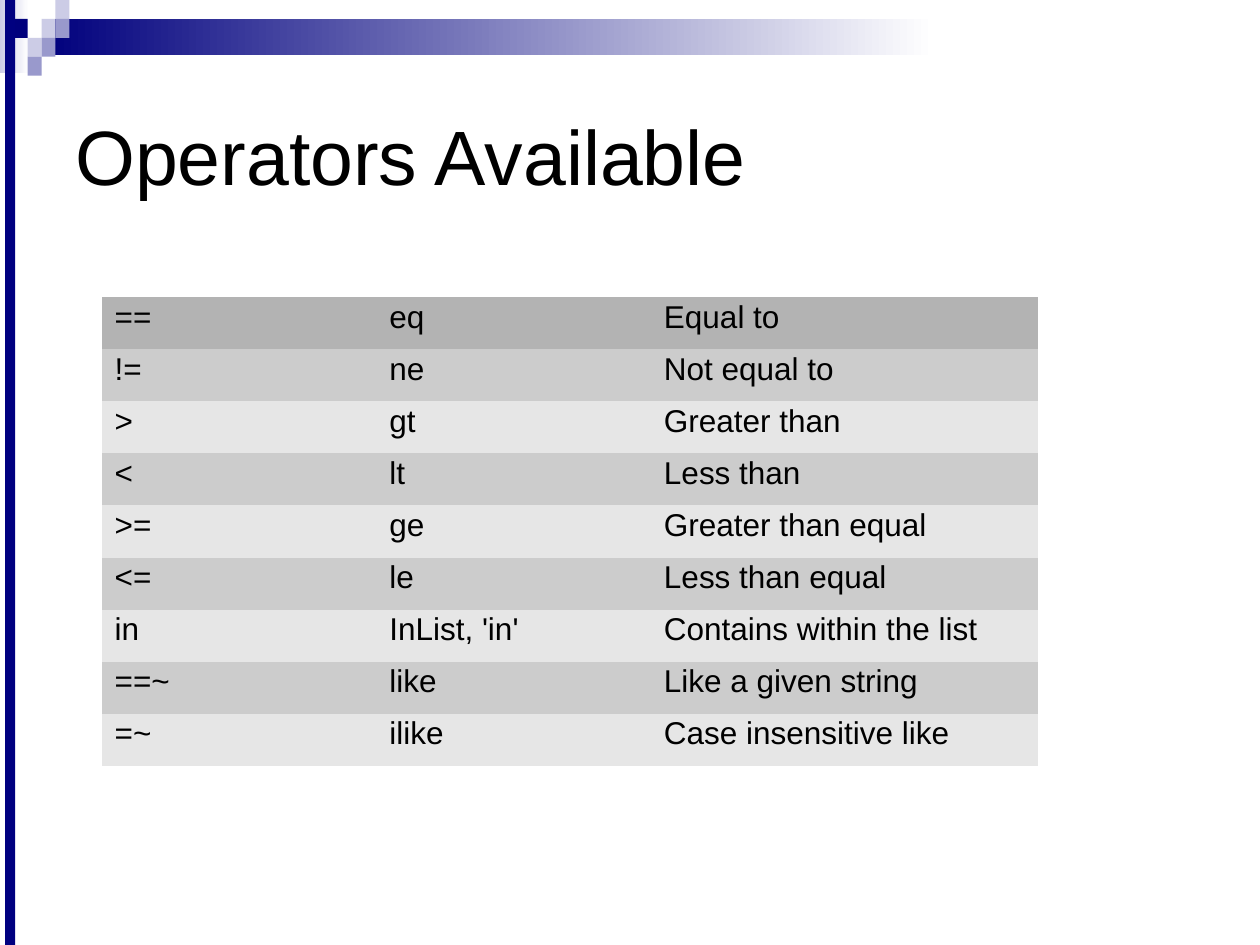
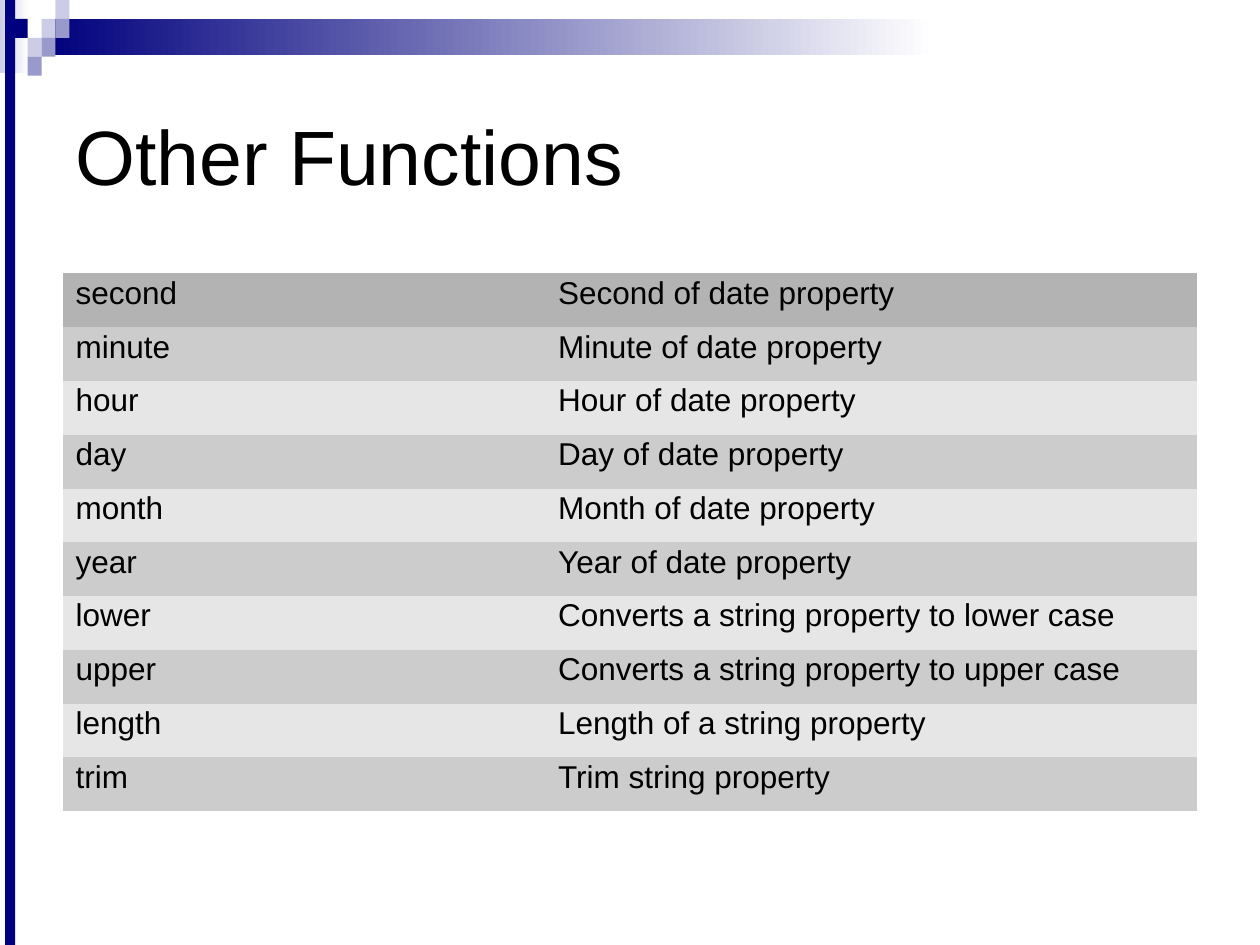
from pptx import Presentation
from pptx import util as u
from pptx.dml.color import RGBColor
from pptx.enum import shapes, text
from pptx.oxml.ns import qn

COLS, ROWS = 20, 15
TILE_W, TILE_H = 0.22, 0.3
FONT = "Arial"
PLAIN = "{2D5ABB26-0587-4C30-8999-92F81FD0307C}"
HUES = {
    "white": "FFFFFF",
    "ink": "000000",
    "navy": "00007D",
    "spine": "000080",
    "mist": "CCCCE6",
    "haze": "9999CC",
    "head": "B3B3B3",
    "dark": "CCCCCC",
    "light": "E6E6E6",
}
TILES = [
    (3, 1, "mist"),
    (4, 0, "mist"),
    (4, 1, "haze"),
    (2, 2, "mist"),
    (1, 1, "navy"),
    (3, 2, "haze"),
    (2, 3, "haze"),
]
OPS = [
    ("==", "eq", "Equal to"),
    ("!=", "ne", "Not equal to"),
    (">", "gt", "Greater than"),
    ("<", "lt", "Less than"),
    (">=", "ge", "Greater than equal"),
    ("<=", "le", "Less than equal"),
    ("in", "InList, 'in'", "Contains within the list"),
    ("==~", "like", "Like a given string"),
    ("=~", "ilike", "Case insensitive like"),
]
FUNCS = [
    ("second", "Second of date property"),
    ("minute", "Minute of date property"),
    ("hour", "Hour of date property"),
    ("day", "Day of date property"),
    ("month", "Month of date property"),
    ("year", "Year of date property"),
    ("lower", "Converts a string property to lower case"),
    ("upper", "Converts a string property to upper case"),
    ("length", "Length of a string property"),
    ("trim", "Trim string property"),
]


def hue(name):
    return RGBColor.from_string(HUES[name])


class Deck:
    def __init__(self):
        self.prs = Presentation()
        self.prs.slide_width = u.Inches(10)
        self.prs.slide_height = u.Inches(7.5)
        self.slide = None

    def across(self, n):
        return round(self.prs.slide_width * n / COLS)

    def down(self, n):
        return round(self.prs.slide_height * n / ROWS)

    def place(self, x, y, w, h):
        return self.across(x), self.down(y), self.across(w), self.down(h)

    def rect(self, x, y, w, h, tint, fade=False):
        box = self.slide.shapes.add_shape(
            shapes.MSO_SHAPE.RECTANGLE, *self.place(x, y, w, h))
        box.shadow.inherit = False
        box.line.fill.background()
        if fade:
            box.fill.gradient()
            box.fill.gradient_angle = 180
            for stop, name in zip(box.fill.gradient_stops, ("white", tint)):
                stop.color.rgb = hue(name)
        else:
            box.fill.solid()
            box.fill.fore_color.rgb = hue(tint)

    def style(self, para, size, space):
        para.line_spacing = space
        for run in para.runs:
            run.font.name = FONT
            run.font.size = u.Pt(size)
            run.font.color.rgb = hue("ink")

    def frame(self):
        self.rect(0, 0, 0.46, 1.16, "mist", fade=True)
        self.rect(0.68, 0.3, 14.16, 0.58, "navy", fade=True)
        for col, row, tint in TILES:
            self.rect(col * TILE_W, row * TILE_H, TILE_W, TILE_H, tint)
        self.rect(0.08, 0, 0.16, ROWS, "spine")

    def title(self, words):
        body = self.slide.shapes.add_textbox(*self.place(1, 1, 18, 3)).text_frame
        body.word_wrap = True
        body.vertical_anchor = text.MSO_ANCHOR.MIDDLE
        body.margin_top = u.Inches(0.09)
        body.text = words
        self.style(body.paragraphs[0], 44, 0.93)

    def table(self, x, y, h, widths, data):
        shape = self.slide.shapes.add_table(
            len(data), len(widths), *self.place(x, y, sum(widths), h))
        for node in shape.element.iter(qn("a:tableStyleId")):
            node.text = PLAIN
        grid = shape.table
        grid.first_row = grid.horz_banding = False
        for col, width in zip(grid.columns, widths):
            col.width = self.across(width)
        for i, (row, words) in enumerate(zip(grid.rows, data)):
            row.height = self.down(h / len(data))
            tint = "head" if i == 0 else "dark" if i % 2 else "light"
            for cell, word in zip(row.cells, words):
                cell.fill.solid()
                cell.fill.fore_color.rgb = hue(tint)
                cell.text_frame.text = word
                self.style(cell.text_frame.paragraphs[0], 18, 0.87)

    def page(self, words, *spec_table):
        self.slide = self.prs.slides.add_slide(self.prs.slide_layouts[6])
        self.frame()
        self.title(words)
        self.table(*spec_table)


def main():
    deck = Deck()
    deck.page("Operators Available", 1.62, 4.72, 7.44, (4.36, 4.36, 6.14), OPS)
    deck.page("Other Functions", 1, 4.34, 8.54, (7.66, 10.34), FUNCS)
    deck.prs.save("out.pptx")


if __name__ == "__main__":
    main()
